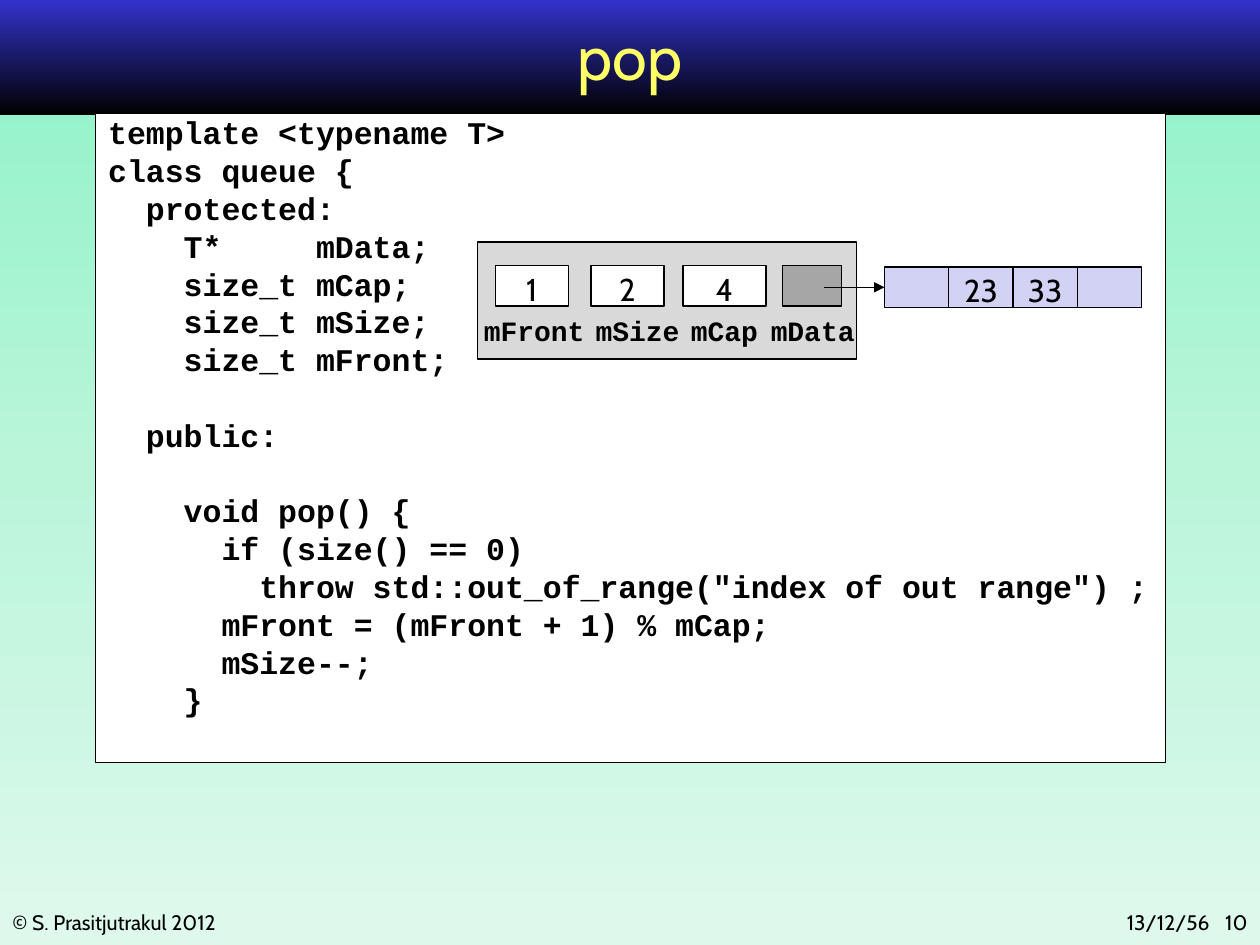
import copy

import pptx
import pptx.dml.color
import pptx.enum.shapes
import pptx.enum.text
import pptx.oxml
import pptx.oxml.ns
import pptx.util

WIDTH, HEIGHT = 10, 7.5
TEXT_FONT, CODE_FONT = "Cabin", "Courier New"
ALIGN, ANCHOR = pptx.enum.text.PP_ALIGN, pptx.enum.text.MSO_ANCHOR

TITLE = "pop"
CODE = """template <typename T>
class queue {
  protected:
    T*     mData;
    size_t mCap;
    size_t mSize;
    size_t mFront;

  public:

    void pop() {
      if (size() == 0)
        throw std::out_of_range("index of out range") ;
      mFront = (mFront + 1) % mCap;
      mSize--;
    }"""
# name, value, fill, cell left, cell width, label centre
MEMBERS = [
    ("mFront", "1", "FFFFFF", 3.93, 0.58, 4.24),
    ("mSize", "2", "FFFFFF", 4.69, 0.58, 5.06),
    ("mCap", "4", "FFFFFF", 5.42, 0.66, 5.75),
    ("mData", "", "A6A6A6", 6.21, 0.47, 6.45),
]
ARRAY = ["", "23", "33", ""]
ARRAY_LEFT, ARRAY_TOP, ARRAY_STEP = 7.02, 2.12, 0.51
CELL_TOP, CELL_HEIGHT = 2.11, 0.32
LABEL_TOP, LABEL_WIDTH, LABEL_HEIGHT = 2.44, 0.87, 0.33
# text, left, width, alignment
FOOTERS = [
    ("© S. Prasitjutrakul 2012", 0, 3.25, ALIGN.LEFT),
    ("13/12/56", 7.83, 1.87, ALIGN.RIGHT),
    ("10", 9.5, 0.5, ALIGN.RIGHT),
]


def color(value):
    return pptx.dml.color.RGBColor.from_string(value)


def inches(*lengths):
    return [pptx.util.Inches(length) for length in lengths]


def fill_downward(fill, first, last):
    fill.gradient()
    fill.gradient_angle = 270
    for stop, value in zip(fill.gradient_stops, (first, last)):
        stop.color.rgb = color(value)


def write(shape, text, size, font, ink="000000", bold=False, align=ALIGN.LEFT, anchor=ANCHOR.TOP):
    frame = shape.text_frame
    frame.text = text
    frame.word_wrap = True
    frame.vertical_anchor = anchor
    for paragraph in frame.paragraphs:
        paragraph.alignment = align
        paragraph.font.size = pptx.util.Pt(size)
        for run in paragraph.runs:
            run.font.name = font
            run.font.size = pptx.util.Pt(size)
            run.font.bold = bold
            run.font.color.rgb = color(ink)


def write_in_diagram(shape, text, size, font, bold=False):
    """Centre text in a diagram part, without insets."""
    write(shape, text, size, font, bold=bold, align=ALIGN.CENTER, anchor=ANCHOR.MIDDLE)
    frame = shape.text_frame
    frame.margin_left = frame.margin_right = frame.margin_top = frame.margin_bottom = 0
    frame.paragraphs[0].line_spacing = 1.15
    frame.paragraphs[0].space_after = pptx.util.Pt(10)


def add_box(slide, left, top, width, height, fill):
    box = slide.shapes.add_shape(
        pptx.enum.shapes.MSO_SHAPE.RECTANGLE, *inches(left, top, width, height))
    box.shadow.inherit = False
    box.fill.solid()
    box.fill.fore_color.rgb = color(fill)
    box.line.color.rgb = color("000000")
    box.line.width = pptx.util.Pt(0.75)
    return box


def add_cell(slide, left, top, width, fill, value):
    cell = add_box(slide, left, top, width, CELL_HEIGHT, fill)
    if value:
        write_in_diagram(cell, value, 18, TEXT_FONT)
    return cell


def add_arrow(slide, start, target):
    """Draw an arrow from a point to the left side of the target."""
    arrow = slide.shapes.add_connector(
        pptx.enum.shapes.MSO_CONNECTOR.STRAIGHT, *inches(*start, *start))
    arrow.end_connect(target, 1)
    arrow.line.color.rgb = color("000000")
    arrow.line.width = pptx.util.Pt(0.75)
    properties = arrow.element.spPr
    line = properties.find(pptx.oxml.ns.qn("a:ln"))
    namespace = pptx.oxml.ns.nsdecls("a")
    line.append(pptx.oxml.parse_xml(f'<a:tailEnd {namespace} type="triangle"/>'))
    properties.append(pptx.oxml.parse_xml(f"<a:effectLst {namespace}/>"))


def paint_background(slide):
    fill_downward(slide.background.fill, "8CF2C6", "DEF9EC")
    stops = slide.element.find(".//" + pptx.oxml.ns.qn("a:gsLst"))
    middle = copy.deepcopy(stops[0])
    middle.set("pos", "50000")
    middle[0].set("val", "BAF5DA")
    stops.insert(1, middle)


def add_header(slide):
    band = add_box(slide, 0, 0, WIDTH, 0.91, "000000")
    fill_downward(band.fill, "3333CC", "000000")
    band.line.fill.background()
    title = slide.shapes.title
    title.left, title.top, title.width, title.height = inches(0.75, 0.02, 8.5, 0.83)
    write(title, TITLE, 36, TEXT_FONT, "FFFF66", align=ALIGN.CENTER, anchor=ANCHOR.MIDDLE)
    title.element.addprevious(band.element)


def add_footers(slide):
    for text, left, width, align in FOOTERS:
        footer = slide.shapes.add_textbox(*inches(left, 7.17, width, 0.3))
        write(footer, text, 12, TEXT_FONT, align=align)


def add_code(slide):
    panel = add_box(slide, 0.76, 0.9, 8.49, 5.15, "FFFFFF")
    write(panel, CODE, 18, CODE_FONT, bold=True)
    panel.text_frame.margin_top = panel.text_frame.margin_bottom = 0


def add_queue_diagram(slide):
    add_box(slide, 3.79, 1.92, 3.01, 0.93, "D9D9D9")
    for name, value, fill, left, width, label_centre in MEMBERS:
        add_cell(slide, left, CELL_TOP, width, fill, value)
        label = slide.shapes.add_textbox(
            *inches(label_centre - LABEL_WIDTH / 2, LABEL_TOP, LABEL_WIDTH, LABEL_HEIGHT))
        write_in_diagram(label, name, 16, CODE_FONT, bold=True)
    array_cells = [
        add_cell(slide, ARRAY_LEFT + index * ARRAY_STEP, ARRAY_TOP, ARRAY_STEP, "D2D2F4", value)
        for index, value in enumerate(ARRAY)
    ]
    add_arrow(slide, (6.54, ARRAY_TOP + CELL_HEIGHT / 2), array_cells[0])


def main():
    presentation = pptx.Presentation()
    presentation.slide_width, presentation.slide_height = inches(WIDTH, HEIGHT)
    slide = presentation.slides.add_slide(presentation.slide_layouts.get_by_name("Title Only"))
    paint_background(slide)
    add_header(slide)
    add_footers(slide)
    add_code(slide)
    add_queue_diagram(slide)
    presentation.save("out.pptx")


if __name__ == "__main__":
    main()
